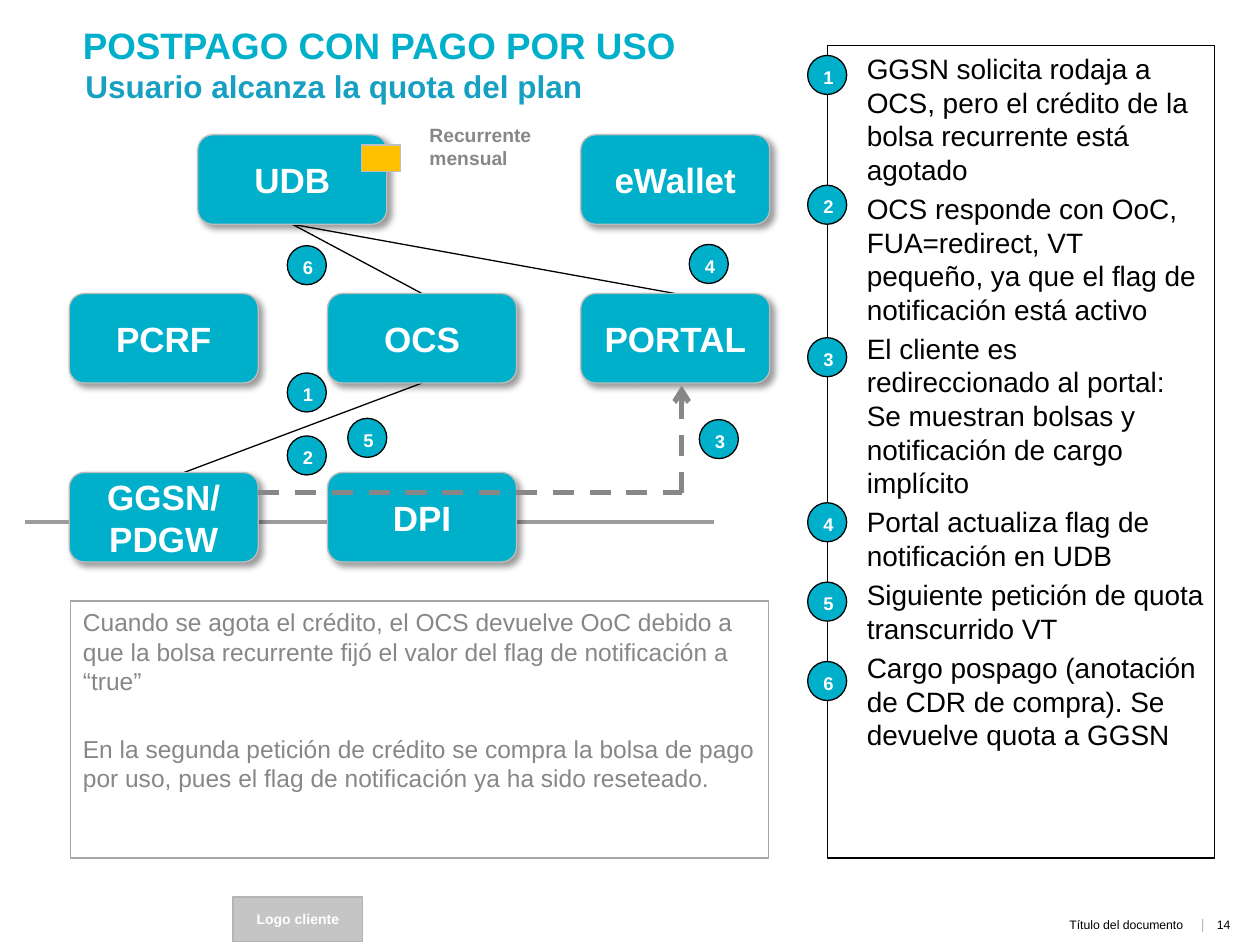
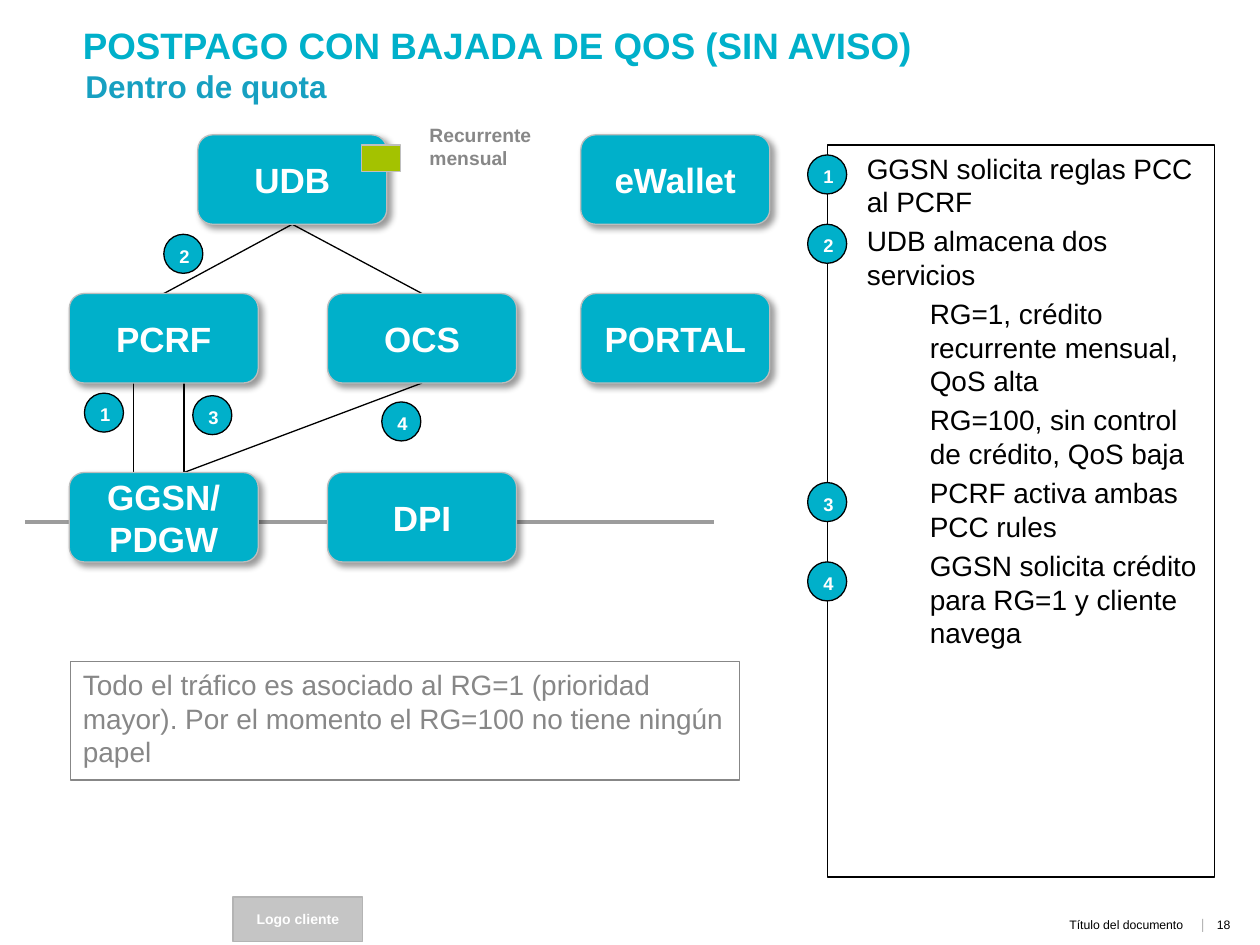
from dataclasses import dataclass

from lxml import etree
from pptx import Presentation
from pptx import util as u
from pptx.dml.color import RGBColor
from pptx.enum import dml, shapes, text
from pptx.oxml.ns import qn


@dataclass(frozen=True)
class Theme:
    """Colours, font and type sizes of the deck."""
    font: str = "Arial"
    teal: str = "00B0CA"
    subtitle: str = "17A0C1"
    grey: str = "878787"
    black: str = "000000"
    white: str = "FFFFFF"
    node_edge: str = "BDBDBD"
    quota_edge: str = "BFBFBF"
    traffic: str = "9C9C9C"
    note_edge: str = "A6A6A6"
    client: str = "B4B4B4"
    divider: str = "B6B6B6"
    amber: str = "FFC000"
    green: str = "A4C200"
    title_size: float = 21
    subtitle_size: float = 18
    node_size: float = 20
    step_size: float = 16
    note_size: float = 14
    quota_size: float = 11
    badge_size: float = 10.5
    small_size: float = 8
    footer_size: float = 7


T = Theme()
NODE_W, NODE_H, BADGE = 1.5, 0.71, 0.31
NODES = {
    "UDB": (1.57, 1.07), "eWallet": (4.61, 1.07),
    "PCRF": (0.55, 2.33), "OCS": (2.6, 2.33), "PORTAL": (4.61, 2.33),
    "GGSN/\nPDGW": (0.55, 3.75), "DPI": (2.6, 3.75),
}
GGSN = "GGSN/\nPDGW"
ALIGN, ANCHOR, SHAPE = text.PP_ALIGN, text.MSO_ANCHOR, shapes.MSO_SHAPE


def rgb(colour):
    """Turn a hex string into a colour."""
    return RGBColor.from_string(colour)


def inches(values):
    """Convert a sequence of numbers to lengths."""
    return [u.Inches(value) for value in values]


def write(shape, paragraphs, size, colour, bold=False, align=ALIGN.LEFT,
          anchor=ANCHOR.TOP, wrap=True, margins=(0.1, 0.05, 0.1, 0.05),
          gaps=(), indents=()):
    """Fill a shape with evenly formatted paragraphs."""
    frame = shape.text_frame
    sides = ("margin_left", "margin_top", "margin_right", "margin_bottom")
    layout = dict(zip(sides, inches(margins)))
    layout.update(word_wrap=wrap, vertical_anchor=anchor)
    for name, value in layout.items():
        setattr(frame, name, value)
    for index, line in enumerate(paragraphs):
        paragraph = frame.paragraphs[0] if index == 0 else frame.add_paragraph()
        paragraph.alignment = align
        if gaps:
            paragraph.space_before = u.Pt(gaps[index])
        if indents and indents[index]:
            properties = paragraph._p.get_or_add_pPr()
            properties.set("marL", str(u.Inches(indents[index])))
            properties.set("indent", "0")
        run = paragraph.add_run()
        run.text = line
        for name, value in dict(name=T.font, size=u.Pt(size), bold=bold).items():
            setattr(run.font, name, value)
        run.font.color.rgb = rgb(colour)


def add_label(slide, box, paragraphs, size, colour, **style):
    """Add free-standing text."""
    label = slide.shapes.add_textbox(*inches(box))
    write(label, paragraphs, size, colour, **style)


def add_block(slide, kind, box, edge, fill=None):
    """Add an outlined shape, filled when a colour is given."""
    block = slide.shapes.add_shape(kind, *inches(box))
    block.shadow.inherit = False
    if fill:
        block.fill.solid()
        block.fill.fore_color.rgb = rgb(fill)
    else:
        block.fill.background()
    block.line.color.rgb = rgb(edge)
    block.line.width = u.Pt(0.75)
    return block


def add_alpha(colour_element, percent):
    """Make an XML colour partly transparent."""
    etree.SubElement(colour_element, qn("a:alpha"), val=str(percent * 1000))


def add_link(slide, start, end, colour=T.black, width=0.75, dashed=False, arrow=False):
    """Draw a straight line between two points."""
    link = slide.shapes.add_connector(
        shapes.MSO_CONNECTOR.STRAIGHT, *inches((*start, *end)))
    link.line.color.rgb = rgb(colour)
    link.line.width = u.Pt(width)
    if dashed:
        link.line.dash_style = dml.MSO_LINE.DASH
    if arrow:
        etree.SubElement(link.line._get_or_add_ln(), qn("a:tailEnd"), type="arrow")
    etree.SubElement(link._element.spPr, qn("a:effectLst"))


def port(name, side, shift=0.0):
    """Locate a point on the top or bottom edge of a node."""
    left, top = NODES[name]
    return left + NODE_W / 2 + shift, top + (NODE_H if side == "bottom" else 0)


def add_node(slide, name):
    """Add a network node with a soft shadow."""
    node = add_block(slide, SHAPE.ROUNDED_RECTANGLE,
                     (*NODES[name], NODE_W, NODE_H), T.node_edge, T.teal)
    effects = node._element.spPr.find(qn("a:effectLst"))
    shadow = etree.SubElement(
        effects, qn("a:outerShdw"), blurRad=str(u.Pt(4)), dist=str(u.Pt(3)),
        dir="2700000", algn="tl", rotWithShape="0")
    add_alpha(etree.SubElement(shadow, qn("a:srgbClr"), val=T.black), 40)
    write(node, name.split("\n"), T.node_size, T.white, bold=True,
          align=ALIGN.CENTER, anchor=ANCHOR.MIDDLE)


def add_badge(slide, number, left, top):
    """Add a numbered step marker."""
    badge = add_block(slide, SHAPE.OVAL, (left, top, BADGE, BADGE), T.black, T.teal)
    write(badge, [str(number)], T.badge_size, T.white, bold=True, wrap=False,
          align=ALIGN.CENTER, anchor=ANCHOR.MIDDLE, margins=(0.02, 0.03, 0, 0))


def add_steps(slide, top, height, steps, badge_tops, indents=()):
    """Add the step panel with its markers on the left edge."""
    panel = add_block(slide, SHAPE.RECTANGLE, (6.57, top, 3.07, height), T.black)
    write(panel, steps, T.step_size, T.black, margins=(0.31, 0.05, 0.08, 0.05),
          gaps=[3.2] * len(steps), indents=indents)
    for number, badge_top in enumerate(badge_tops, 1):
        add_badge(slide, number, 6.41, badge_top)


def add_note(slide, box, paragraphs, size, edge, gaps):
    """Add the framed explanation below the diagram."""
    note = add_block(slide, SHAPE.RECTANGLE, box, edge)
    write(note, paragraphs, size, T.grey, gaps=gaps)


def add_frame(slide, title, subtitle, page):
    """Add the headings and the footer."""
    add_label(slide, (0.56, 0.13, 9.09, 0.44), [title], T.title_size, T.teal, bold=True)
    add_label(slide, (0.58, 0.48, 4.18, 0.4), [subtitle], T.subtitle_size,
              T.subtitle, bold=True, wrap=False)
    flush = dict(align=ALIGN.RIGHT, anchor=ANCHOR.MIDDLE, margins=(0, 0, 0, 0))
    add_label(slide, (3.41, 7.26, 5.98, 0.16), ["Título del documento"],
              T.footer_size, T.black, **flush)
    add_label(slide, (9.48, 7.25, 0.08, 0.16), ["|"], T.small_size, T.divider, **flush)
    add_label(slide, (9.56, 7.23, 0.44, 0.24), [str(page)], T.footer_size, T.black)
    client = add_block(slide, SHAPE.RECTANGLE, (1.85, 7.12, 1.03, 0.35), T.client, T.client)
    add_alpha(client._element.spPr.find(qn("a:solidFill"))[0], 76)
    write(client, ["Logo cliente"], T.small_size, T.white, bold=True,
          align=ALIGN.CENTER, anchor=ANCHOR.MIDDLE)


def add_network(slide, links, badges, quota_colour):
    """Add the network diagram with its links, markers and quota flag."""
    add_link(slide, (0.2, 4.14), (5.67, 4.14), T.traffic, 2.25)
    for start, end in links:
        add_link(slide, port(*start), port(*end))
    for name in NODES:
        add_node(slide, name)
    for badge in badges:
        add_badge(slide, *badge)
    add_block(slide, SHAPE.RECTANGLE, (2.87, 1.15, 0.31, 0.21), T.quota_edge, quota_colour)
    add_label(slide, (3.31, 0.93, 1.3, 0.47), ["Recurrente mensual"],
              T.quota_size, T.grey, bold=True)


def add_redirect(slide):
    """Draw the dashed route from the gateway to the portal."""
    corner = (5.41, 3.91)
    add_link(slide, (2.05, 3.91), corner, T.grey, 3, dashed=True)
    add_link(slide, corner, (5.41, 3.06), T.grey, 3, dashed=True, arrow=True)


def build_pay_per_use(slide):
    """Build the slide on reaching the plan quota."""
    add_frame(slide, "POSTPAGO CON PAGO POR USO", "Usuario alcanza la quota del plan", 14)
    add_network(
        slide,
        [((GGSN, "top", 0.16), ("OCS", "bottom")),
         (("OCS", "top"), ("UDB", "bottom")),
         (("PORTAL", "top"), ("UDB", "bottom"))],
        [(1, 2.28, 2.96), (2, 2.28, 3.46), (3, 5.55, 3.33),
         (4, 5.47, 1.94), (5, 2.76, 3.32), (6, 2.28, 1.95)],
        T.amber)
    add_redirect(slide)
    add_note(slide, (0.56, 4.77, 5.54, 2.04), [
        "Cuando se agota el crédito, el OCS devuelve OoC debido a que la bolsa "
        "recurrente fijó el valor del flag de notificación a “true”",
        "En la segunda petición de crédito se compra la bolsa de pago por uso, "
        "pues el flag de notificación ya ha sido reseteado.",
    ], T.note_size, T.note_edge, gaps=(2.8, 22))
    add_steps(slide, 0.36, 6.45, [
        "GGSN solicita rodaja a OCS, pero el crédito de la bolsa recurrente está agotado",
        "OCS responde con OoC, FUA=redirect, VT pequeño, ya que el flag de "
        "notificación está activo",
        "El cliente es redireccionado al portal: Se muestran bolsas y "
        "notificación de cargo implícito",
        "Portal actualiza flag de notificación en UDB",
        "Siguiente petición de quota transcurrido VT",
        "Cargo pospago (anotación de CDR de compra). Se devuelve quota a GGSN",
    ], (0.44, 1.47, 2.68, 3.99, 4.62, 5.25))


def build_qos_drop(slide):
    """Build the slide on browsing within quota."""
    add_frame(slide, "POSTPAGO CON BAJADA DE QOS (SIN AVISO)", "Dentro de quota", 18)
    add_network(
        slide,
        [((GGSN, "top", -0.24), ("PCRF", "bottom", -0.24)),
         ((GGSN, "top", 0.16), ("PCRF", "bottom", 0.16)),
         (("PCRF", "top"), ("UDB", "bottom")),
         ((GGSN, "top", 0.16), ("OCS", "bottom")),
         (("OCS", "top"), ("UDB", "bottom"))],
        [(1, 0.67, 3.12), (2, 1.3, 1.86), (3, 1.53, 3.14), (4, 3.03, 3.19)],
        T.green)
    add_note(slide, (0.56, 5.25, 5.31, 0.94), [
        "Todo el tráfico es asociado al RG=1 (prioridad mayor). Por el momento "
        "el RG=100 no tiene ningún papel",
    ], T.step_size, T.grey, gaps=(3.2,))
    add_steps(slide, 1.15, 5.81, [
        "GGSN solicita reglas PCC al PCRF",
        "UDB almacena dos servicios",
        "RG=1, crédito recurrente mensual, QoS alta",
        "RG=100, sin control de crédito, QoS baja",
        "PCRF activa ambas PCC rules",
        "GGSN solicita crédito para RG=1 y cliente navega",
    ], (1.23, 1.78, 3.83, 4.46), indents=(0, 0, 0.5, 0.5, 0.5, 0.5))


def main():
    """Build and save the deck."""
    deck = Presentation()
    deck.slide_width, deck.slide_height = inches((10, 7.5))
    for build in (build_pay_per_use, build_qos_drop):
        build(deck.slides.add_slide(deck.slide_layouts[6]))
    deck.save("out.pptx")


if __name__ == "__main__":
    main()
